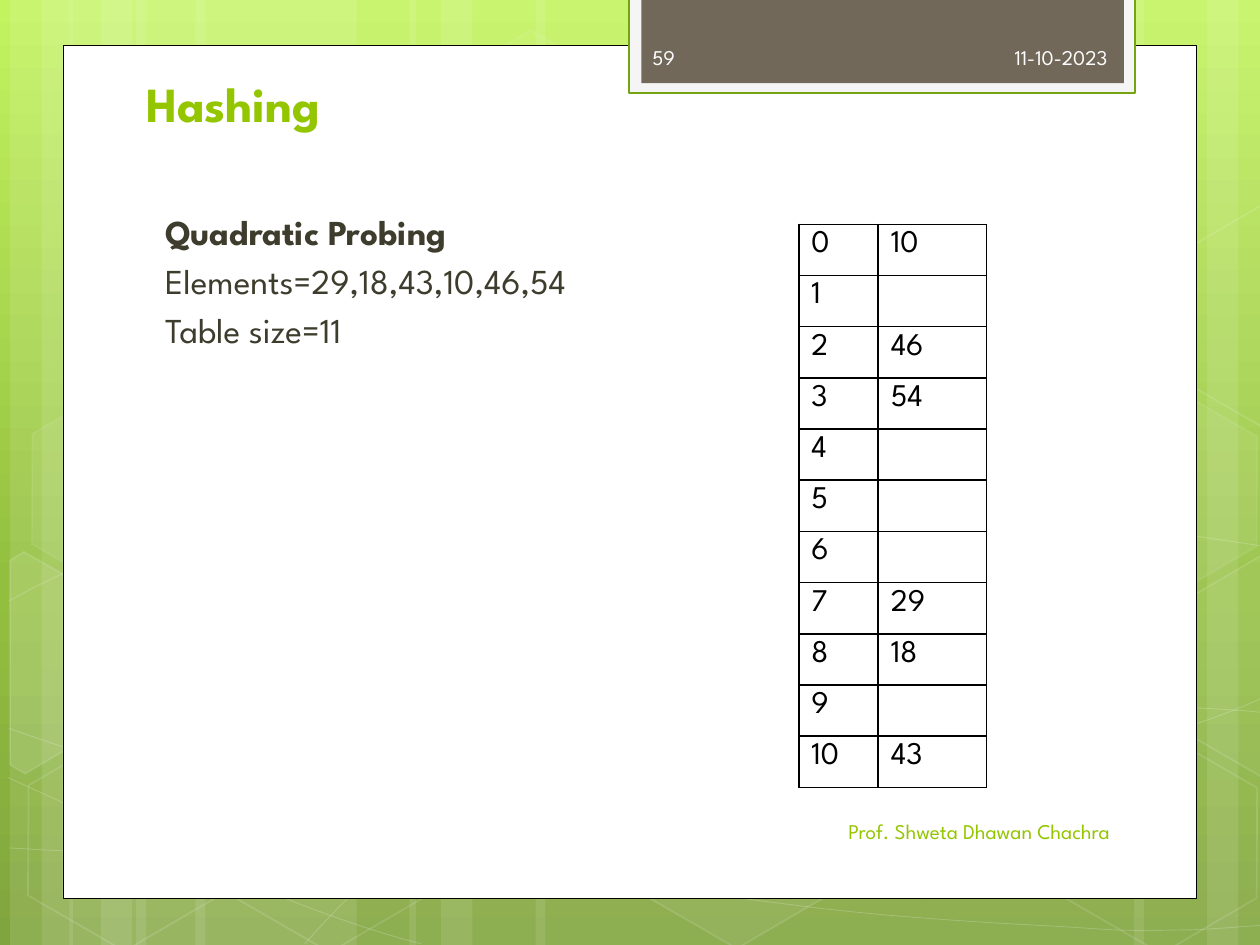
import copy

import lxml.etree
import pptx
import pptx.util
import pptx.dml.color
import pptx.enum.shapes
import pptx.enum.text
import pptx.oxml.ns

COLORS = {"white": "FFFFFF", "black": "000000", "lime": "94C600", "ink": "3E3D2D",
          "tab": "71685A", "rim": "F5F5F5", "rim_line": "74A510", "pale": "FEFEFE",
          "sky_top": "C3F35F", "sky_middle": "93BF3F", "sky_bottom": "81A53E"}
SKY = [(0, "sky_top"), (0.62, "sky_middle"), (1, "sky_bottom")]
FONT = "League Spartan"
COLUMNS, ROWS = 10, 7.5
WIDTH, HEIGHT = pptx.util.Inches(10), pptx.util.Inches(7.5)
SHAPES = pptx.enum.shapes.MSO_SHAPE
ALIGN = pptx.enum.text.PP_ALIGN
ANCHOR = pptx.enum.text.MSO_ANCHOR
qn = pptx.oxml.ns.qn

BANDS = [(1.08, 1.75), (0.08, 0.5), (0.33, 0.83), (1.55, 1.75), (0.55, 0.5), (0.8, 0.83),
         (7.33, 1.75), (9.58, 0.5), (9, 0.83), (4.25, 3.08), (3.25, 0.5), (3.5, 0.83)]
CURVES = [
    [(0.07, 6.73), (0.61, 6.76), (1.15, 6.79), (1.9, 6.78), (2.65, 6.77), (3.58, 6.75),
     (4.58, 6.65), (5.58, 6.55), (7, 6.36), (7.92, 6.17), (8.83, 5.98), (9.77, 5.68), (10.07, 5.51)],
    [(0.07, 4.77), (0.36, 4.61), (0.65, 4.46), (1.21, 4.31), (1.78, 4.16), (2.59, 3.94),
     (3.47, 3.87), (4.36, 3.8), (5.44, 3.79), (6.54, 3.87), (7.64, 3.95), (9.47, 4.26), (10.07, 4.34)],
    [(0.06, 6.17), (1.27, 6.72), (2.47, 7.27), (3.34, 7.49)],
    [(0.07, 5.78), (0.38, 5.89), (0.7, 6), (1.28, 6.16), (1.86, 6.31), (2.73, 6.56), (3.57, 6.73),
     (4.4, 6.9), (5.45, 7.08), (6.28, 7.18), (7.11, 7.29), (8, 7.33), (8.53, 7.36),
     (9.05, 7.4), (9.19, 7.38), (9.45, 7.38), (9.71, 7.37), (9.89, 7.35), (10.07, 7.34)],
    [(2.42, 7.49), (2.6, 7.29), (2.78, 7.09), (3.02, 6.91), (3.26, 6.73), (3.6, 6.53), (3.88, 6.39),
     (4.16, 6.25), (4.33, 6.19), (4.7, 6.09), (5.06, 5.99), (5.73, 5.85), (6.08, 5.78),
     (6.44, 5.71), (6.49, 5.71), (6.8, 5.69), (7.11, 5.66), (7.6, 5.63), (7.94, 5.62),
     (8.29, 5.61), (8.86, 5.62), (8.86, 5.62), (9.08, 5.62), (9.31, 5.62), (9.53, 5.62),
     (9.71, 5.63), (9.88, 5.64), (9.97, 5.65), (10.06, 5.66), (10.03, 5.65), (10.06, 5.66)]]
HEXAGONS = [(3.34, 0.36, 4, 8), (4.97, 5.89, 6, 12), (0.11, 5.91, 0, 12), (0.14, 3.12, 7, 8),
            (1.74, 5.92, 0, 12), (8.34, 5.93, 0, 12), (8.34, 3.14, 7, 8)]
CUT_HEXAGONS = [
    ([(0.08, 4.45), (0.19, 4.38), (0.96, 4.82), (0.95, 5.7), (0.2, 6.14), (0.08, 6.07)], 10),
    ([(9.26, 4.85), (10.01, 4.41), (10.09, 4.46), (10.09, 6.13), (10.02, 6.17), (9.26, 5.73)], 4),
    ([(9.26, 2.07), (10.01, 1.63), (10.1, 1.68), (10.09, 3.35), (10.02, 3.39), (9.26, 2.95)], 0)]


def rgb(name):
    """Return the colour stored under a name."""
    return pptx.dml.color.RGBColor.from_string(COLORS[name])


def across(columns):
    """Turn grid columns into a length."""
    return round(WIDTH * columns / COLUMNS)


def down(rows):
    """Turn grid rows into a length."""
    return round(HEIGHT * rows / ROWS)


def frame(box):
    """Turn a grid box into left, top, width and height."""
    left, top, width, height = box
    return across(left), down(top), across(width), down(height)


def fade(element, percent):
    """Set the opacity of the colours inside an element."""
    for color in element.iter(qn("a:srgbClr")):
        lxml.etree.SubElement(color, qn("a:alpha"), val=str(percent * 1000))


def paint(shape, fill=None, line=None, weight=1, fill_alpha=100, line_alpha=100):
    """Give a shape its fill and outline, without shadow."""
    shape.shadow.inherit = False
    properties = shape.element.spPr
    if fill:
        shape.fill.solid()
        shape.fill.fore_color.rgb = rgb(fill)
        if fill_alpha < 100:
            fade(properties, fill_alpha)
    else:
        shape.fill.background()
    if line:
        shape.line.color.rgb = rgb(line)
        shape.line.width = pptx.util.Pt(weight)
        if line_alpha < 100:
            fade(properties.find(qn("a:ln")), line_alpha)
    else:
        shape.line.fill.background()


def write(para, text, size, color, bold=False):
    """Add one formatted run to a paragraph."""
    span = para.add_run()
    span.text = text
    span.font.name, span.font.size, span.font.bold = FONT, pptx.util.Pt(size), bold
    span.font.color.rgb = rgb(color)


def outline(page, box, points, close):
    """Build a freeform through points measured from the box corner."""
    spots = [(across(box[0] + x), down(box[1] + y)) for x, y in points]
    builder = page.shapes.build_freeform(*spots[0])
    builder.add_line_segments(spots[1:], close=close)
    return builder.convert_to_shape()


def bend(shape):
    """Turn each three line segments of a freeform into one cubic curve."""
    segments = list(shape.element.iter(qn("a:lnTo")))
    for start in range(0, len(segments), 3):
        curve = lxml.etree.Element(qn("a:cubicBezTo"))
        segments[start].addprevious(curve)
        for segment in segments[start:start + 3]:
            curve.append(segment[0])
            segment.getparent().remove(segment)
    return shape


def add_sky(page):
    """Fill the background with a vertical gradient."""
    fill = page.background.fill
    fill.gradient()
    fill.gradient_angle = 270
    first = next(page.element.iter(qn("a:gs")))
    first.addnext(copy.deepcopy(first))
    for stop, (position, color) in zip(fill.gradient_stops, SKY):
        stop.position = position
        stop.color.rgb = rgb(color)


def add_backdrop(page, box):
    """Draw the translucent bands, curves and hexagons."""
    left, top, _, height = box
    for x, width in BANDS:
        band = page.shapes.add_shape(SHAPES.RECTANGLE, *frame((left + x, top, width, height)))
        paint(band, "white", fill_alpha=10)
    for points in CURVES:
        paint(bend(outline(page, box, points, False)), line="white", weight=0.5, line_alpha=20)
    for x, y, fill_alpha, line_alpha in HEXAGONS:
        hexagon = page.shapes.add_shape(SHAPES.HEXAGON, *frame((left + x, top + y, 1.75, 1.52)))
        hexagon.rotation = 30
        hexagon.adjustments[0] = 0.285
        paint(hexagon, "white" if fill_alpha else None, "white", 1, fill_alpha, line_alpha)
    for points, fill_alpha in CUT_HEXAGONS:
        paint(outline(page, box, points, True), "white" if fill_alpha else None, "white", 1,
              fill_alpha, 12)


def add_panel(page, box):
    """Draw the white sheet with its header tab."""
    left, top, _, _ = box
    parts = [(box, "white", "black", 0.5),
             ((left + 4.49, top - 0.38, 4.02, 0.76), "rim", "rim_line", 1.25),
             ((left + 4.59, top - 0.38, 3.83, 0.68), "tab", None, 0)]
    for part, fill, line, weight in parts:
        paint(page.shapes.add_shape(SHAPES.RECTANGLE, *frame(part)), fill, line, weight)


def fill_title(page, box, text):
    """Place the title."""
    title = page.shapes.title
    title.left, title.top, title.width, title.height = frame(box)
    title.text_frame.vertical_anchor = ANCHOR.BOTTOM
    para = title.text_frame.paragraphs[0]
    para.alignment = ALIGN.LEFT
    write(para, text, 28, "lime", True)


def fill_body(page, box, lines):
    """Place the body lines, the first one bold."""
    body = page.placeholders[1]
    body.left, body.top, body.width, body.height = frame(box)
    for index, text in enumerate(lines):
        para = body.text_frame.paragraphs[0] if index == 0 else body.text_frame.add_paragraph()
        para.space_before = pptx.util.Pt(4)
        properties = para._p.get_or_add_pPr()
        properties.set("marL", str(across(0.07)))
        properties.set("indent", "0")
        lxml.etree.SubElement(properties, qn("a:buNone"))
        write(para, text, 20, "ink", index == 0)


def add_label(page, box, text, color, align):
    """Add a small line of text, centred vertically."""
    label = page.shapes.add_textbox(*frame(box)).text_frame
    label.word_wrap = True
    label.vertical_anchor = ANCHOR.MIDDLE
    label.paragraphs[0].alignment = align
    write(label.paragraphs[0], text, 12, color)


def add_hash_table(page, box, slots, size):
    """Add the table of slot numbers and stored keys."""
    table = page.shapes.add_table(size, 2, *frame(box)).table
    table.first_row = table.horz_banding = False
    for column, width in zip(table.columns, (0.63, 0.86)):
        column.width = across(width)
    for slot in range(size):
        for cell, value in zip(table.rows[slot].cells, (slot, slots.get(slot))):
            properties = cell._tc.get_or_add_tcPr()
            for side in ("lnL", "lnR", "lnT", "lnB"):
                border = lxml.etree.SubElement(properties, qn("a:" + side), w="12700")
                solid = lxml.etree.SubElement(border, qn("a:solidFill"))
                lxml.etree.SubElement(solid, qn("a:srgbClr"), val=COLORS["black"])
            cell.fill.background()
            if value is not None:
                write(cell.text_frame.paragraphs[0], str(value), 18, "black")


def main():
    """Build and save the slide."""
    deck = pptx.Presentation()
    deck.slide_width, deck.slide_height = WIDTH, HEIGHT
    page = deck.slides.add_slide(deck.slide_layouts[1])
    holders = [holder.element for holder in page.placeholders]
    add_sky(page)
    add_backdrop(page, (0, 0, COLUMNS, ROWS))
    add_panel(page, (0.5, 0.36, 9, 6.77))
    for holder in holders:
        holder.getparent().append(holder)
    fill_title(page, (1.06, 0.52, 7.68, 0.58), "Hashing")
    fill_body(page, (1.14, 1.62, 7.41, 4.75),
              ["Quadratic Probing", "Elements=29,18,43,10,46,54", "Table size=11"])
    add_label(page, (6.56, 0.25, 2.33, 0.4), "11-10-2023", "pale", ALIGN.RIGHT)
    add_label(page, (5.08, 6.4, 3.83, 0.4), "Prof. Shweta Dhawan Chachra", "lime", ALIGN.RIGHT)
    add_label(page, (5.08, 0.25, 1.46, 0.4), "59", "pale", ALIGN.LEFT)
    add_hash_table(page, (6.34, 1.78, 1.49, 4.47),
                   {0: 10, 2: 46, 3: 54, 7: 29, 8: 18, 10: 43}, 11)
    deck.save("out.pptx")


if __name__ == "__main__":
    main()
